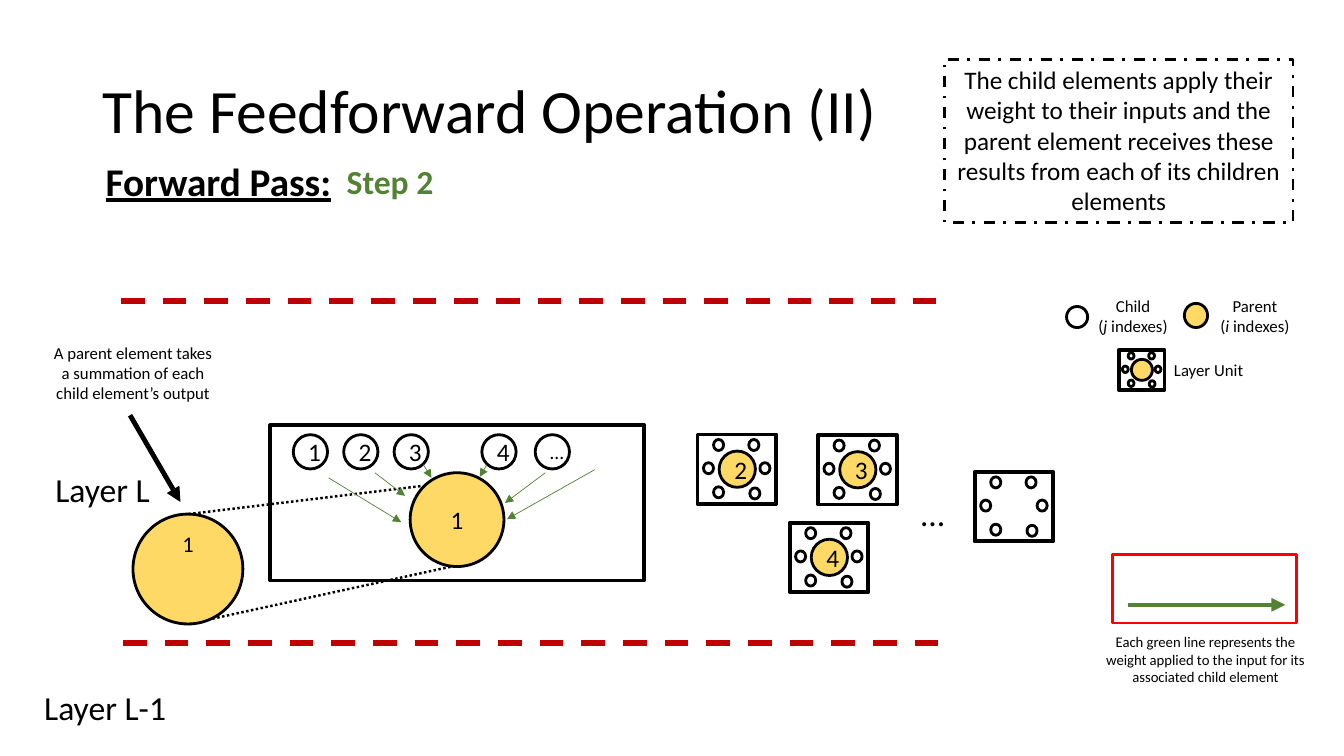
import dataclasses

import pptx
import pptx.dml.color
import pptx.enum.dml
import pptx.enum.shapes
import pptx.enum.text
import pptx.oxml
import pptx.oxml.ns
import pptx.util

Pt = pptx.util.Pt
SHAPE = pptx.enum.shapes.MSO_SHAPE
DASH = pptx.enum.dml.MSO_LINE
ALIGN = pptx.enum.text.PP_ALIGN
ANCHOR = pptx.enum.text.MSO_ANCHOR
FIT = pptx.enum.text.MSO_AUTO_SIZE


@dataclasses.dataclass(frozen=True)
class Theme:
    font: str = "Calibri"
    black: str = "000000"
    white: str = "FFFFFF"
    parent: str = "FFD966"
    weight: str = "548235"
    divider: str = "C00000"
    key: str = "FF0000"
    title: float = 44
    heading: float = 28
    label: float = 24
    body: float = 18
    number: float = 16
    ellipsis: float = 14
    note: float = 12
    caption: float = 10.5
    thin: float = 2
    frame: float = 2.75


T = Theme()
UNIT_W, UNIT_H = 56.2, 49.7
DOT_W, DOT_H = 7.2, 7.9
DOTS = [(11.5, 3.6), (4.3, 20.2), (11.5, 37.4),
        (36.7, 3.6), (44.6, 20.2), (37.4, 38.2)]
CORE_X, CORE_Y, CORE = 15.5, 11.9, 25.9


def rgb(color):
    return pptx.dml.color.RGBColor.from_string(color)


def write(tf, text, size=T.body, color=T.black, bold=False, underline=False,
          align=ALIGN.CENTER, anchor=ANCHOR.TOP, wrap=True, spacing=None):
    tf.word_wrap = wrap
    tf.vertical_anchor = anchor
    for i, line in enumerate(text.split("\n")):
        p = tf.add_paragraph() if i else tf.paragraphs[0]
        p.alignment = align
        if spacing:
            p.line_spacing = spacing
        for k, part in enumerate(line.split("*")):
            r = p.add_run()
            r.text = part
            r.font.name = T.font
            r.font.size = Pt(size)
            r.font.color.rgb = rgb(color)
            r.font.bold = bold
            r.font.underline = underline
            r.font.italic = k % 2 == 1


def label(s, x, y, w, h, text, **fmt):
    tf = s.shapes.add_textbox(Pt(x), Pt(y), Pt(w), Pt(h)).text_frame
    write(tf, text, **fmt)
    tf.auto_size = FIT.SHAPE_TO_FIT_TEXT


def shape(parent, kind, x, y, w, h, fill=None, line=T.black, width=T.thin, dash=None):
    sp = parent.shapes.add_shape(kind, Pt(x), Pt(y), Pt(w), Pt(h))
    sp.shadow.inherit = False
    if fill:
        sp.fill.solid()
        sp.fill.fore_color.rgb = rgb(fill)
    else:
        sp.fill.background()
    sp.line.color.rgb = rgb(line)
    sp.line.width = Pt(width)
    if dash:
        sp.line.dash_style = dash
    return sp


def circle(parent, x, y, w, h, fill=T.white, text="", **fmt):
    sp = shape(parent, SHAPE.OVAL, x, y, w, h, fill)
    if text:
        write(sp.text_frame, text, **{"anchor": ANCHOR.MIDDLE, **fmt})
    return sp


def line(s, x1, y1, x2, y2, color=T.black, width=1.75, dash=None, arrow=False):
    c = s.shapes.add_connector(pptx.enum.shapes.MSO_CONNECTOR.STRAIGHT,
                               Pt(x1), Pt(y1), Pt(x2), Pt(y2))
    c.line.color.rgb = rgb(color)
    c.line.width = Pt(width)
    if dash:
        c.line.dash_style = dash
    qn = pptx.oxml.ns.qn
    spPr = c.element.spPr
    if arrow:
        tail = spPr.find(qn("a:ln")).makeelement(qn("a:tailEnd"), {"type": "triangle"})
        spPr.find(qn("a:ln")).append(tail)
    spPr.append(spPr.makeelement(qn("a:effectLst"), {}))


def unit(s, x, y, text="", core=True, fill=None, scale=1):
    g = s.shapes.add_group_shape()
    shape(g, SHAPE.RECTANGLE, x, y, UNIT_W * scale, UNIT_H * scale, fill, width=T.frame)
    if core:
        circle(g, x + CORE_X * scale, y + CORE_Y * scale, CORE * scale, CORE * scale,
               T.parent, text)
    for dx, dy in DOTS:
        circle(g, x + dx * scale, y + dy * scale, DOT_W * scale, DOT_H * scale)


def heading(s):
    title = s.shapes.title
    title.left, title.top, title.width, title.height = Pt(66), Pt(28.8), Pt(828), Pt(104.4)
    write(title.text_frame, "The Feedforward Operation (II)", size=T.title,
          align=ALIGN.LEFT, anchor=ANCHOR.MIDDLE, spacing=0.9)
    label(s, 68.4, 108.7, 178.6, 41, "Forward Pass:", size=T.heading, bold=True,
          underline=True, align=ALIGN.LEFT)
    label(s, 234, 111.6, 89.3, 36, "Step 2", size=T.label, color=T.weight, bold=True)
    box = shape(s, SHAPE.RECTANGLE, 674.6, 42.5, 249.1, 116.6, dash=DASH.DASH_DOT)
    write(box.text_frame, "The child elements apply their weight to their inputs and the "
          "parent element receives these results from each of its children elements")


def expanded_unit(s):
    line(s, 134.6, 367.2, 302.4, 347, dash=DASH.ROUND_DOT)
    line(s, 134.6, 445.7, 326.2, 403.9, dash=DASH.ROUND_DOT)
    shape(s, SHAPE.RECTANGLE, 193, 303.8, 267.1, 110.9, width=T.frame)
    for x, text in [(209.5, "1"), (245.5, "2"), (281.5, "3"), (344.2, "4"), (382.3, "…")]:
        circle(s, x, 310.5, 24.5, 24.5, text=text,
               size=T.ellipsis if text == "…" else T.body)
    circle(s, 293, 337.7, 67, 67, T.parent, "1")
    for ends in [(234.7, 341.3, 286.6, 373), (267.8, 337.7, 289.4, 354.2),
                 (302.4, 331.9, 308.2, 341.3), (347.8, 331.9, 342.7, 340.6),
                 (389.5, 337.7, 360.7, 359.3), (424.8, 335.5, 362.2, 370.8)]:
        line(s, *ends, color=T.weight, width=0.5, arrow=True)
    sp = circle(s, 95, 367.2, 78.5, 78.5, T.parent, "1", size=T.number, anchor=ANCHOR.TOP)
    sp.text_frame.margin_top = 0


def layers(s):
    for x, y in [(87.8, 459.4), (86.4, 215.3)]:
        line(s, x, y, 676.8, y, color=T.divider, width=4.25, dash=DASH.DASH)
    unit(s, 498.2, 310.3, "2", fill=T.white)
    unit(s, 584.3, 310.7, "3")
    unit(s, 564, 373.3, "4")
    unit(s, 696.2, 337, core=False)
    for x, y, w, text in [(650.9, 348.5, 28.8, "…"), (24.5, 487.4, 103, "Layer L-1"),
                          (32.4, 331.2, 87.8, "Layer L")]:
        label(s, x, y, w, 36, text, size=T.label, align=ALIGN.LEFT, wrap=False)


def legend(s):
    circle(s, 761.8, 218.9, 15.1, 15.1)
    circle(s, 846, 216.7, 16.6, 17.3, T.parent)
    label(s, 776.2, 207.4, 66.2, 36, "Child\n(*j* indexes)", size=T.note)
    label(s, 863.3, 207.4, 66.2, 36, "Parent\n(*i* indexes)", size=T.note)
    unit(s, 799.2, 249.8, fill=T.white, scale=0.58)
    label(s, 830.2, 253.4, 66.2, 21.6, "Layer Unit", size=T.note, wrap=False)
    line(s, 805.7, 432, 918, 432, color=T.weight, width=3.25, arrow=True)
    shape(s, SHAPE.RECTANGLE, 794.9, 396, 131, 49, line=T.key)
    label(s, 782.6, 448.6, 157, 45.4, "Each green line represents the weight applied to "
          "the input for its associated child element", size=T.caption)
    line(s, 92.9, 296.6, 128.9, 358.6, width=3.5, arrow=True)
    label(s, 28.1, 241.2, 133.9, 51.1, "A parent element takes a summation of each "
          "child element’s output", size=T.note)


def main():
    prs = pptx.Presentation()
    prs.slide_width, prs.slide_height = Pt(960), Pt(540)
    s = prs.slides.add_slide(prs.slide_layouts[5])
    heading(s)
    expanded_unit(s)
    layers(s)
    legend(s)
    prs.save("out.pptx")


if __name__ == "__main__":
    main()
